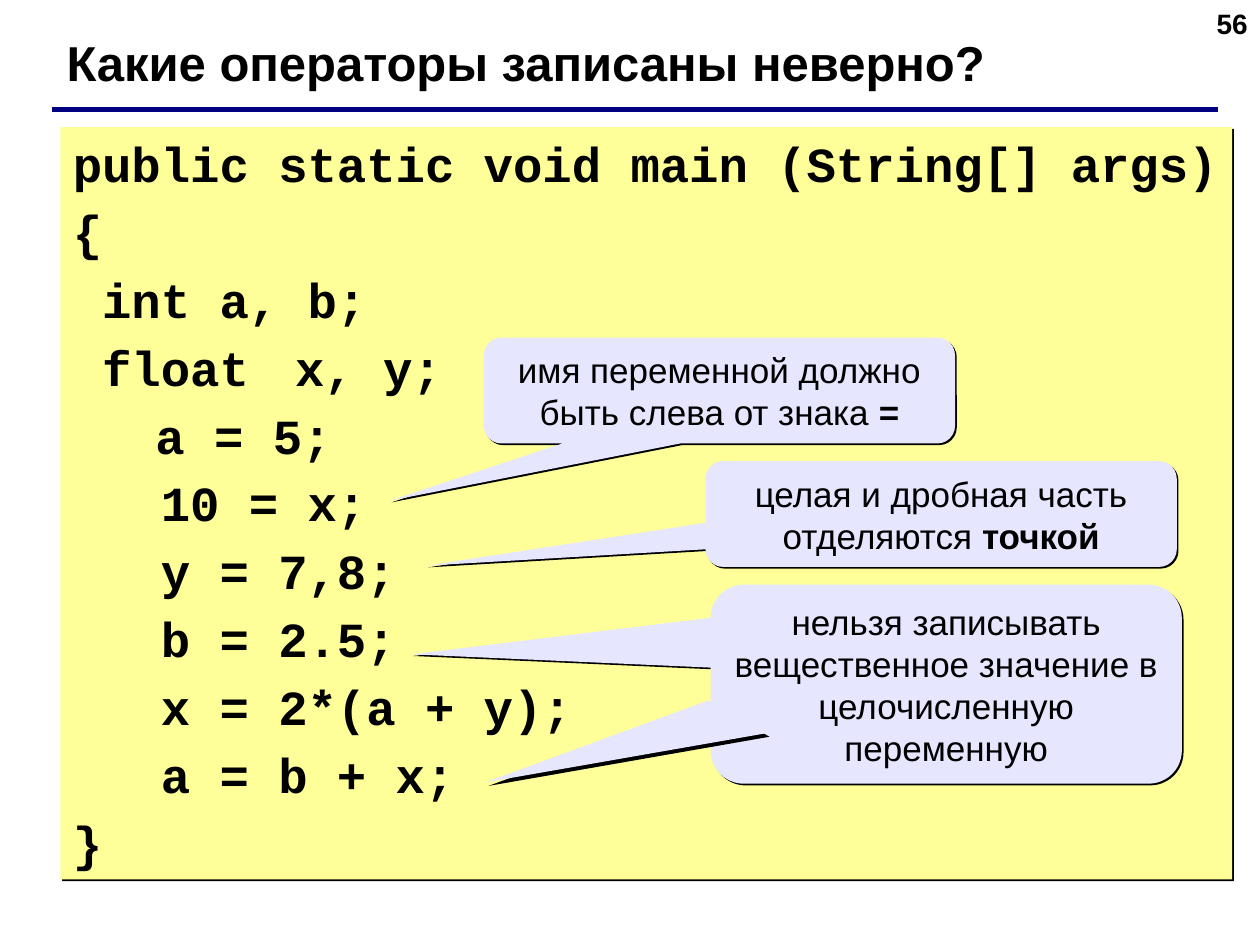
from lxml import etree
from pptx import Presentation
from pptx.dml.color import RGBColor
from pptx.enum.shapes import MSO_CONNECTOR, MSO_SHAPE
from pptx.enum.text import MSO_ANCHOR as Anchor, PP_ALIGN as Align
from pptx.oxml import parse_xml
from pptx.oxml.ns import nsdecls, qn
from pptx.util import Inches, Pt

BLACK = RGBColor(0x00, 0x00, 0x00)
NAVY = RGBColor(0x00, 0x00, 0x80)
YELLOW = RGBColor(0xFF, 0xFF, 0x99)
LAVENDER = RGBColor(0xE6, 0xE6, 0xFF)


class SlideBuilder:
    text_font = "Arial"
    code_font = "Courier New"

    def __init__(self, slide):
        self.shapes = slide.shapes

    def style_font(self, font, size, bold=False, name=text_font):
        font.name, font.size, font.bold = name, Pt(size), bold
        font.color.rgb = BLACK

    def fill_with_shadow(self, shape, color, distance):
        shape.fill.solid()
        shape.fill.fore_color.rgb = color
        shape.line.fill.background()
        shape.shadow.inherit = False
        effects = shape._element.spPr.find(qn("a:effectLst"))
        effects.append(parse_xml(
            f'<a:outerShdw {nsdecls("a")} dist="{Pt(distance)}" dir="2700000" '
            'algn="ctr" rotWithShape="0"><a:srgbClr val="000000"/></a:outerShdw>'))

    def label(self, text, left, top, width, height, size, align=Align.LEFT):
        box = self.shapes.add_textbox(
            Inches(left), Inches(top), Inches(width), Inches(height))
        box.text_frame.word_wrap = True
        paragraph = box.text_frame.paragraphs[0]
        paragraph.text = text
        paragraph.alignment = align
        self.style_font(paragraph.font, size, bold=True)

    def rule(self, left, right, y):
        line = self.shapes.add_connector(
            MSO_CONNECTOR.STRAIGHT, Inches(left), Inches(y), Inches(right), Inches(y))
        line.line.color.rgb = NAVY
        line.line.width = Pt(3)
        etree.SubElement(line._element.spPr, qn("a:effectLst"))

    def code_block(self, lines, left, top, width, height):
        block = self.shapes.add_shape(
            MSO_SHAPE.RECTANGLE, Inches(left), Inches(top), Inches(width), Inches(height))
        self.fill_with_shadow(block, YELLOW, 1.4)
        frame = block.text_frame
        frame.word_wrap = True
        frame.vertical_anchor = Anchor.TOP
        frame.margin_right = Inches(0.05)
        for index, line in enumerate(lines):
            paragraph = frame.add_paragraph() if index else frame.paragraphs[0]
            paragraph.alignment = Align.LEFT
            if index:
                paragraph.space_before = Pt(5.2)
            properties = paragraph._p.get_or_add_pPr()
            properties.set("marL", str(Inches(0.19)))
            properties.set("indent", str(-Inches(0.19)))
            for text, size in line:
                run = paragraph.add_run()
                run.text = text
                self.style_font(run.font, size, bold=True, name=self.code_font)

    def callout(self, text, bold_ending, left, top, height, tip):
        bubble = self.shapes.add_shape(
            MSO_SHAPE.ROUNDED_RECTANGULAR_CALLOUT,
            Inches(left), Inches(top), Inches(3.74), Inches(height))
        bubble.adjustments[0], bubble.adjustments[1] = tip
        bubble.adjustments[2] = 0.167
        self.fill_with_shadow(bubble, LAVENDER, 1.4)
        frame = bubble.text_frame
        frame.word_wrap = True
        frame.vertical_anchor = Anchor.MIDDLE
        paragraph = frame.paragraphs[0]
        paragraph.alignment = Align.CENTER
        self.style_font(paragraph.font, 20)
        paragraph.add_run().text = text
        if bold_ending:
            ending = paragraph.add_run()
            ending.text = bold_ending
            ending.font.bold = True

    def pointer(self, corners):
        start, *others = [(Inches(x), Inches(y)) for x, y in corners]
        builder = self.shapes.build_freeform(*start)
        builder.add_line_segments(others, close=True)
        self.fill_with_shadow(builder.convert_to_shape(), LAVENDER, 2.8)


CODE_SIZE = 28
CODE = [[(line, CODE_SIZE)] for line in (
    "public static void main (String[] args)",
    "{",
    " int a, b;",
    " float ",
    "\t  a = 5;",
    "   10 = x;",
    "   y = 7,8;",
    "   b = 2.5;",
    "   x = 2*(a + y);",
    "   a = b + x;",
    "}",
)]
# The float declaration has a narrower second space
CODE[3] += [(" ", 16), ("x, y;", CODE_SIZE)]

CALLOUTS = [
    ("имя переменной должно быть слева от знака ", "=", 3.84, 2.68, 0.84, (-0.699, 1.04)),
    ("целая и дробная часть отделяются ", "точкой", 5.6, 3.66, 0.84, (-1.092, 0.488)),
    ("нельзя записывать вещественное значение в целочисленную переменную", "",
     5.64, 4.64, 1.58, (-1.135, -0.15)),
]


def main():
    presentation = Presentation()
    presentation.slide_width, presentation.slide_height = Inches(10), Inches(7.5)
    builder = SlideBuilder(presentation.slides.add_slide(presentation.slide_layouts[6]))

    # Page number
    builder.label("56", 7.67, 0, 2.33, 0.52, 16, Align.RIGHT)

    # Program listing
    builder.code_block(CODE, 0.48, 1.01, 9.3, 5.97)

    # Title with its rule
    builder.rule(0.41, 9.67, 0.87)
    builder.label("Какие операторы записаны неверно?", 0.43, 0.21, 8.9, 0.57, 28)

    # Explanations of the errors
    for explanation in CALLOUTS:
        builder.callout(*explanation)

    # Second pointer of the last explanation
    builder.pointer([(3.85, 6.21), (5.62, 5.56), (6.08, 5.82)])

    presentation.save("out.pptx")


if __name__ == "__main__":
    main()
